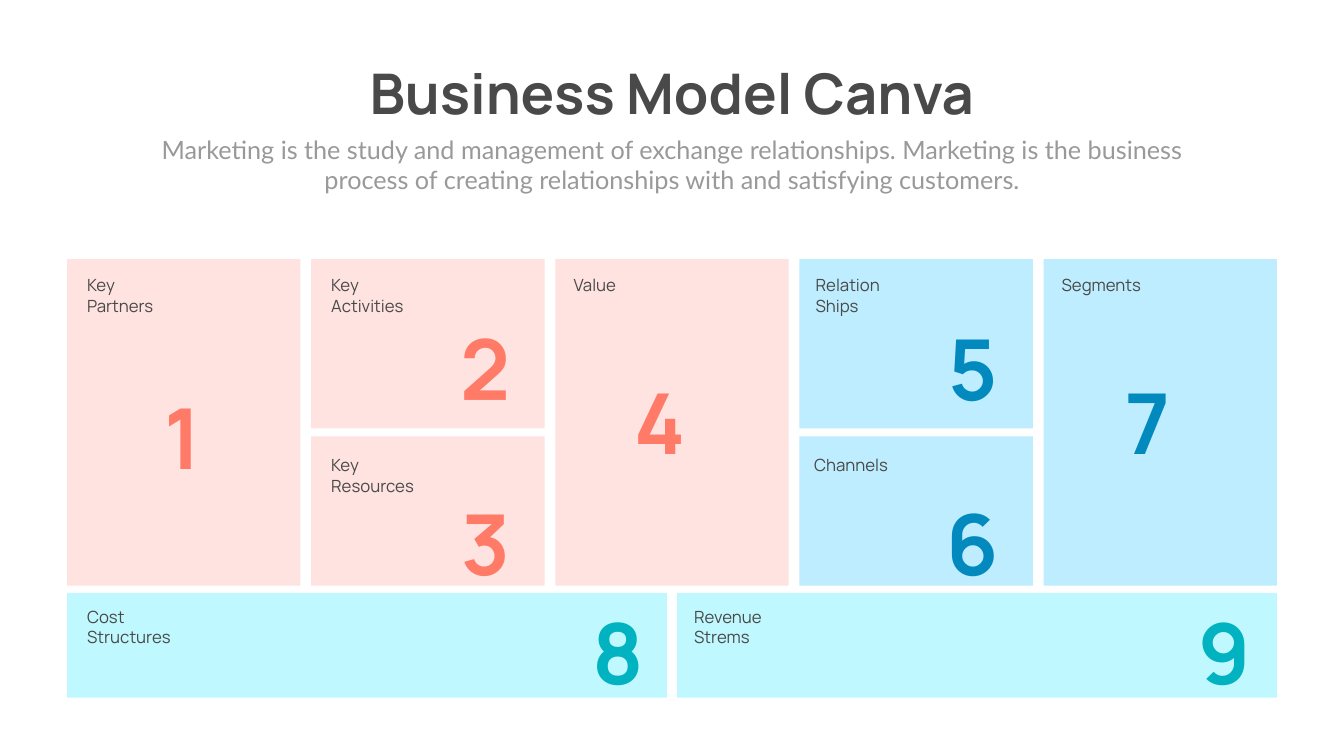
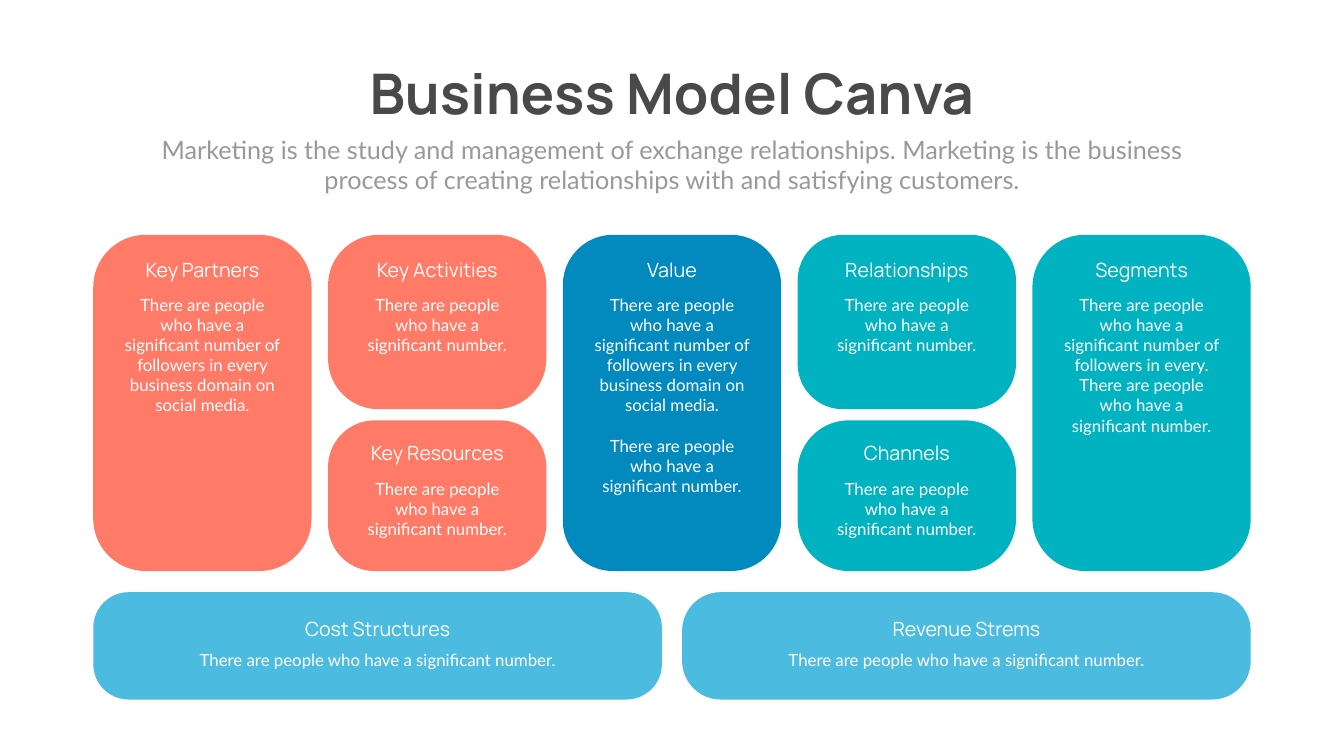
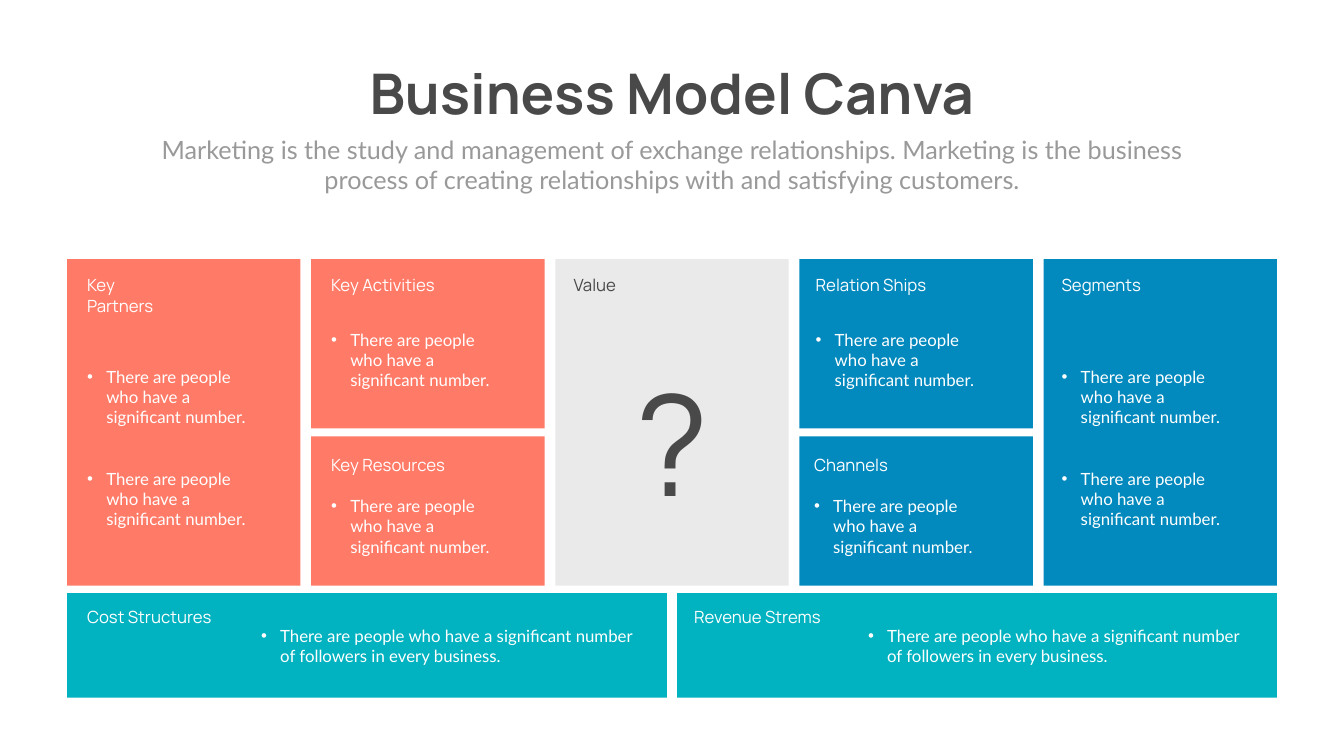
"""Build three business model canvas slides."""
from lxml import etree
from pptx import Presentation
from pptx import util as u
from pptx.dml.color import RGBColor
from pptx.enum import shapes, text
from pptx.oxml.ns import qn

INK = RGBColor(0x49, 0x49, 0x49)
MUTED = RGBColor(0x99, 0x99, 0x99)
WHITE = RGBColor(0xFF, 0xFF, 0xFF)
GREY = RGBColor(0xEA, 0xEA, 0xEA)
CORAL = RGBColor(0xFF, 0x7A, 0x67)
BLUE = RGBColor(0x02, 0x89, 0xBD)
TEAL = RGBColor(0x01, 0xB2, 0xC0)
SKY = RGBColor(0x4B, 0xBB, 0xDF)
PALE_CORAL = RGBColor(0xFE, 0xE3, 0xE0)
PALE_BLUE = RGBColor(0xBE, 0xED, 0xFF)
PALE_TEAL = RGBColor(0xBF, 0xF9, 0xFF)
HEADING, BODY = "Manrope", "Lato"
LEFT, CENTER = text.PP_ALIGN.LEFT, text.PP_ALIGN.CENTER

WIDTH, HEIGHT = 26.66, 15
SLOTS = [(0, "tall"), (1, "upper"), (1, "lower"), (2, "tall"), (3, "upper"),
         (3, "lower"), (4, "tall"), (0, "base"), (1, "base")]
NAMES = ["Key Partners", "Key Activities", "Key Resources", "Value", "Relation Ships",
         "Channels", "Segments", "Cost Structures", "Revenue Strems"]
SQUARE_ROWS = {"tall": (5.14, 6.48), "upper": (5.14, 3.36),
               "lower": (8.66, 2.96), "base": (11.77, 2.07)}
ROUND_ROWS = {"tall": (4.66, 6.67), "upper": (4.66, 3.46),
              "lower": (8.34, 2.99), "base": (11.75, 2.13)}
NAME_LEFTS = [1.63, 6.47, 6.47, 11.28, 16.08, 16.05, 20.96, 1.63, 13.67]
NAME_TOPS = {"tall": 5.41, "upper": 5.41, "lower": 8.98, "base": 11.98}
TITLE = "Business Model Canva"
SUBTITLE = ("Marketing is the study and management of exchange relationships. Marketing is "
            "the business process of creating relationships with and satisfying customers.")
PEOPLE = "There are people who have a significant number."
FOLLOWERS = "There are people who have a significant number of followers in every"


def write(slide, box, lines, size, color, font=HEADING, align=CENTER,
          bold=False, bullet=False, holder=None):
    edges = [u.Inches(edge) for edge in box]
    holder = holder or slide.shapes.add_textbox(*edges)
    holder.left, holder.top, holder.width, holder.height = edges
    frame = holder.text_frame
    frame.word_wrap = True
    frame.auto_size = text.MSO_AUTO_SIZE.NONE
    frame.vertical_anchor = text.MSO_ANCHOR.TOP
    for index, line in enumerate(lines):
        paragraph = frame.add_paragraph() if index else frame.paragraphs[0]
        paragraph.alignment = align
        if index:
            paragraph.space_before = u.Pt(size * 1.2)
        if bullet:
            props = paragraph._p.get_or_add_pPr()
            props.set("marL", str(u.Inches(0.38)))
            props.set("indent", str(-u.Inches(0.38)))
            tint = etree.SubElement(props, qn("a:buClr"))
            etree.SubElement(tint, qn("a:srgbClr"), val=str(color))
            etree.SubElement(props, qn("a:buFont"), typeface="Arial")
            etree.SubElement(props, qn("a:buChar"), char="•")
        run = paragraph.add_run()
        run.text = line
        run.font.name, run.font.size, run.font.bold = font, u.Pt(size), bold
        run.font.color.rgb = color


def draw_canvas(slide, margin, column, half, rows, fills, radii):
    span = WIDTH - 2 * margin
    centers = []
    for (place, row), fill, radius in zip(SLOTS, fills, radii):
        width, count = (half, 2) if row == "base" else (column, 5)
        left = margin + place * (span - width) / (count - 1)
        top, height = rows[row]
        card = slide.shapes.add_shape(shapes.MSO_SHAPE.ROUNDED_RECTANGLE,
                                      *map(u.Inches, (left, top, width, height)))
        card.adjustments[0] = radius
        card.shadow.inherit = False
        card.fill.solid()
        card.fill.fore_color.rgb = fill
        card.line.fill.background()
        centers.append(left + width / 2)
    return centers


deck = Presentation()
deck.slide_width, deck.slide_height = u.Inches(WIDTH), u.Inches(HEIGHT)
for _ in range(3):
    slide = deck.slides.add_slide(deck.slide_layouts[5])
    write(slide, (6.73, 1.12, 13.2, 1.45), [TITLE], 80, INK, bold=True,
          holder=slide.shapes.title)
    write(slide, (2.92, 2.61, 20.82, 1.31), [SUBTITLE], 36, MUTED, BODY)
numbered, rounded, bulleted = deck.slides

draw_canvas(numbered, 1.29 + 0.04, 4.63, 11.9, SQUARE_ROWS, [], [])
draw_canvas(numbered, 1.33, 4.63, 11.9, SQUARE_ROWS,
            [PALE_CORAL] * 4 + [PALE_BLUE] * 3 + [PALE_TEAL] * 2, [0] * 9)
name_widths = [1.83, 1.82, 2.18, 2.39, 1.82, 2.41, 2.39, 2, 2]
for name, (_, row), left, width in zip(NAMES, SLOTS, NAME_LEFTS, name_widths):
    write(numbered, (left, NAME_TOPS[row], width, 0.91 if " " in name else 0.5),
          [name], 24, INK, align=LEFT)
number_spots = [(2.72, 7.6), (8.72, 6.23), (8.72, 9.7), (12.18, 7.3), (18.38, 6.23),
                (18.38, 9.7), (21.85, 7.3), (11.35, 11.86), (23.38, 11.86)]
number_colors = [CORAL] * 4 + [BLUE] * 3 + [TEAL] * 2
for number, (spot, color) in enumerate(zip(number_spots, number_colors), 1):
    write(numbered, (*spot, 1.83, 2.12), [str(number)], 120, color, bold=True)

centers = draw_canvas(rounded, 1.85, 4.33, 11.28, ROUND_ROWS,
                      [CORAL] * 3 + [BLUE] + [TEAL] * 3 + [SKY] * 2,
                      [0.24, 0.29, 0.31, 0.23, 0.26, 0.34, 0.24, 0.33, 0.36])
media = FOLLOWERS + " business domain on social media."
details = {"Key Partners": [media], "Value": [media, PEOPLE],
           "Segments": [f"{FOLLOWERS}. {PEOPLE}"]}
detail_heights = {"Key Partners": 2.52, "Value": 4.14, "Segments": 2.93}
round_tops = {"tall": (5.06, 5.79), "upper": (5.06, 5.79),
              "lower": (8.7, 9.44), "base": (12.2, 12.85)}
for name, (_, row), center in zip(NAMES, SLOTS, centers):
    name_top, detail_top = round_tops[row]
    name_width, detail_width, height = (4.64, 7.72, 0.5) if row == "base" else (3.04, 3.3, 1.31)
    write(rounded, (center - name_width / 2, name_top, name_width, 0.57),
          [name.replace("Relation Ships", "Relationships")], 28, WHITE)
    write(rounded, (center - detail_width / 2, detail_top, detail_width,
                    detail_heights.get(name, height)),
          details.get(name, [PEOPLE]), 24, WHITE, BODY)

draw_canvas(bulleted, 1.33, 4.63, 11.9, SQUARE_ROWS,
            [CORAL] * 3 + [GREY] + [BLUE] * 3 + [TEAL] * 2, [0] * 9)
name_widths = [1.83, 2.75, 3.3, 2.39, 2.75, 2.41, 2.39, 3.03, 3.03]
bullet_tops = {"tall": [7.22, 9.25], "upper": [6.49], "lower": [9.79], "base": [12.37]}
for name, (_, row), left, width in zip(NAMES, SLOTS, NAME_LEFTS, name_widths):
    write(bulleted, (left, NAME_TOPS[row], width, 0.91 if name == "Key Partners" else 0.5),
          [name], 24, INK if name == "Value" else WHITE, align=LEFT)
    if name == "Value":
        write(bulleted, (12.47, 7.03, 1.71, 3.47), ["?"], 200, INK)
        continue
    for top in bullet_tops[row]:
        base = row == "base"
        box = (left + 3.45, top, 7.67, 0.91) if base else (left, top, 3.43, 1.72)
        write(bulleted, box, [FOLLOWERS + " business." if base else PEOPLE],
              24, WHITE, BODY, LEFT, bullet=True)

deck.save("out.pptx")
